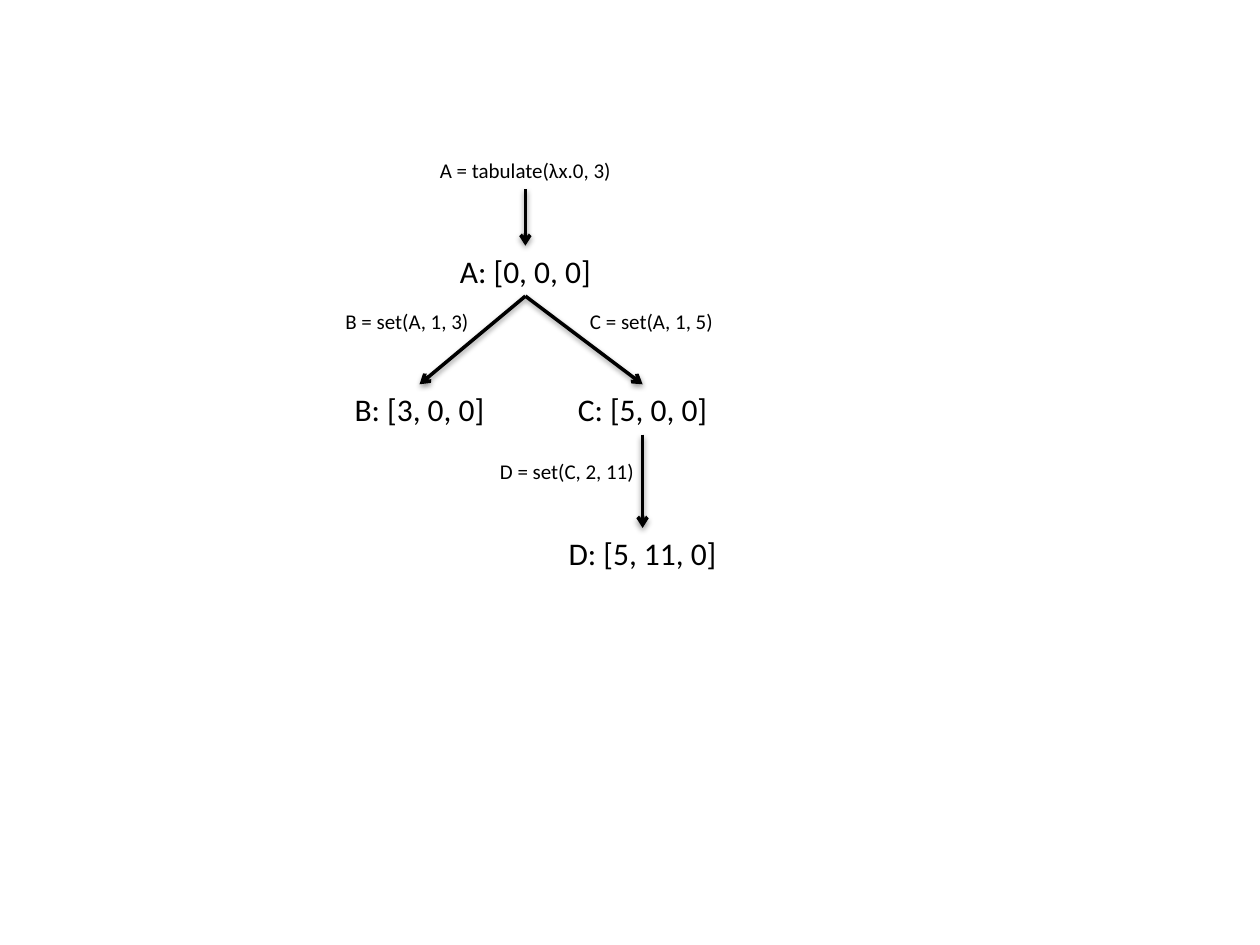
from lxml import etree
from pptx import Presentation
from pptx.dml.color import RGBColor
from pptx.enum.shapes import MSO_CONNECTOR
from pptx.enum.text import MSO_AUTO_SIZE, PP_ALIGN
from pptx.oxml import parse_xml
from pptx.oxml.ns import nsdecls, qn
from pptx.util import Inches, Pt


def color(value):
    return RGBColor.from_string(value)


def add_label(text, center, top, width, height, size):
    shape = slide.shapes.add_textbox(
        Inches(center - width / 2), Inches(top), Inches(width), Inches(height))
    frame = shape.text_frame
    frame.word_wrap = False
    frame.auto_size = MSO_AUTO_SIZE.SHAPE_TO_FIT_TEXT
    frame.text = text
    paragraph = frame.paragraphs[0]
    paragraph.alignment = PP_ALIGN.CENTER
    font = paragraph.runs[0].font
    font.name = "Calibri"
    font.size = Pt(size)
    font.color.rgb = color("000000")


presentation = Presentation()
presentation.slide_width = Inches(10)
presentation.slide_height = Inches(7.5)
slide = presentation.slides.add_slide(presentation.slide_layouts[6])

root_x, left_x, right_x = 4.17, 3.33, 5.1
row_tops = [1.95, 3.05, 4.19]
node_height = 0.4

nodes = [
    ("A: [0, 0, 0]", root_x, row_tops[0], 1.25),
    ("B: [3, 0, 0]", left_x, row_tops[1], 1.24),
    ("C: [5, 0, 0]", right_x, row_tops[1], 1.24),
    ("D: [5, 11, 0]", right_x, row_tops[2], 1.39),
]
for text, center, top, width in nodes:
    add_label(text, center, top, width, node_height, 18)

operations = [
    ("A = tabulate(λx.0, 3)", root_x, 1.2, 1.58),
    ("B = set(A, 1, 3)", 3.23, 2.4, 1.19),
    ("C = set(A, 1, 5)", 5.17, 2.4, 1.19),
    ("D = set(C, 2, 11)", 4.5, 3.59, 1.28),
]
for text, center, top, width in operations:
    add_label(text, center, top, width, 0.3, 12)

arrows = [
    (root_x, 1.5, root_x, row_tops[0]),
    (root_x, row_tops[0] + node_height, left_x, row_tops[1]),
    (root_x, row_tops[0] + node_height, right_x, row_tops[1]),
    (right_x, row_tops[1] + node_height, right_x, row_tops[2]),
]
for points in arrows:
    arrow = slide.shapes.add_connector(
        MSO_CONNECTOR.STRAIGHT, *[Inches(value) for value in points])
    arrow.line.color.rgb = color("000000")
    arrow.line.width = Pt(2)
    etree.SubElement(arrow.line._get_or_add_ln(), qn("a:tailEnd"), type="arrow")
    arrow._element.spPr.append(parse_xml(
        f'<a:effectLst {nsdecls("a")}>'
        '<a:outerShdw blurRad="40000" dist="20000" dir="5400000" rotWithShape="0">'
        '<a:srgbClr val="000000"><a:alpha val="38000"/></a:srgbClr>'
        '</a:outerShdw></a:effectLst>'))

presentation.save("out.pptx")
